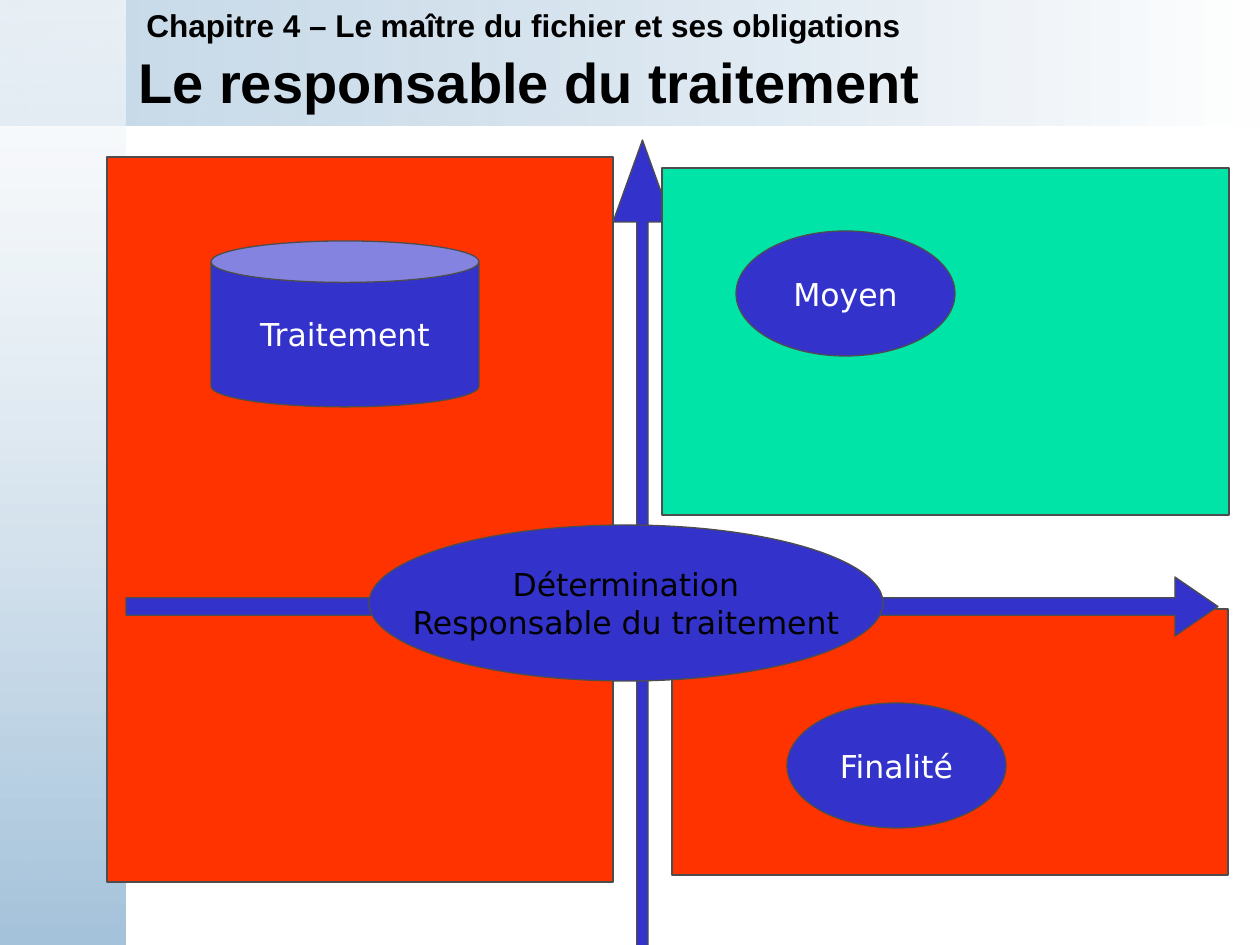
"""Build the slide on the data controller: processing, means and purpose around two axes."""
import pptx
import pptx.dml.color
import pptx.enum.shapes
import pptx.enum.text
import pptx.util
from lxml import etree

SHAPE = pptx.enum.shapes.MSO_SHAPE
MIDDLE = pptx.enum.text.MSO_ANCHOR.MIDDLE
CENTER = pptx.enum.text.PP_ALIGN.CENTER
EMU_PER_PX = 914400 / 126
BLUE, RED, GREEN, GREY = "3333CC", "FF3300", "00E4A8", "4D4D4D"
PALE, WHITE, BLACK = "A5C3DB", "FFFFFF", "000000"


def px(*lengths):
    return [pptx.util.Emu(round(length * EMU_PER_PX)) for length in lengths]


def color(hex_string):
    return pptx.dml.color.RGBColor.from_string(hex_string)


deck = pptx.Presentation()
deck.slide_width, deck.slide_height = px(1260, 945)
slide = deck.slides.add_slide(deck.slide_layouts[6])
shapes = slide.shapes

bands = [
    ((0, 0, 1260, 126), 0, [(PALE, 62), (WHITE, 100)]),
    ((0, 0, 126, 945), 270, [(WHITE, 59), (PALE, 100)]),
]
for box, angle, stops in bands:
    band = shapes.add_shape(SHAPE.RECTANGLE, *px(*box))
    band.shadow.inherit = False
    band.line.fill.background()
    band.fill.gradient()
    band.fill.gradient_angle = angle
    for stop, (hue, opacity) in zip(band.fill.gradient_stops, stops):
        stop.color.rgb = color(hue)
    for tint, (hue, opacity) in zip(band.fill._xPr.iter(pptx.oxml.ns.qn("a:srgbClr")), stops):
        etree.SubElement(tint, pptx.oxml.ns.qn("a:alpha"), val=str(opacity * 1000))

headings = [
    ((126, 45, 1134, 72), "Le responsable du traitement", 32),
    ((134, 0, 1126, 50), "Chapitre 4 – Le maître du fichier et ses obligations", 18),
]
for box, wording, size in headings:
    frame = shapes.add_textbox(*px(*box)).text_frame
    frame.word_wrap = True
    frame.vertical_anchor = MIDDLE
    heading = frame.paragraphs[0]
    heading.text = wording
    heading.font.name = "Arial"
    heading.font.size = pptx.util.Pt(size)
    heading.font.bold = True
    heading.font.color.rgb = color(BLACK)

diagram = [
    (SHAPE.UP_ARROW, (613, 140, 59, 814), (0.19, 1.39), BLUE, [], WHITE),
    (SHAPE.RECTANGLE, (672, 609, 556, 266), (), RED, [], WHITE),
    (SHAPE.RECTANGLE, (107, 157, 506, 725), (), RED, [], WHITE),
    (SHAPE.RECTANGLE, (662, 168, 567, 347), (), GREEN, [], WHITE),
    (SHAPE.RIGHT_ARROW, (126, 577, 1092, 59), (0.3, 0.73), BLUE, [], WHITE),
    (SHAPE.OVAL, (787, 703, 219, 125), (), BLUE, ["Finalité"], WHITE),
    (SHAPE.OVAL, (736, 231, 219, 125), (), BLUE, ["Moyen"], WHITE),
    (SHAPE.OVAL, (369, 525, 514, 156), (), BLUE,
     ["Détermination", "Responsable du traitement"], BLACK),
    (SHAPE.CAN, (211, 241, 268, 166), (0.25,), BLUE, ["Traitement"], WHITE),
]
for kind, box, adjustments, fill, lines, ink in diagram:
    part = shapes.add_shape(kind, *px(*box))
    part.shadow.inherit = False
    for index, value in enumerate(adjustments):
        part.adjustments[index] = value
    part.fill.solid()
    part.fill.fore_color.rgb = color(fill)
    part.line.color.rgb = color(GREY)
    part.line.width = pptx.util.Pt(0.75)
    if lines:
        label = part.text_frame
        label.text = "\n".join(lines)
        label.word_wrap = False
        label.vertical_anchor = MIDDLE
        for paragraph in label.paragraphs:
            paragraph.alignment = CENTER
            paragraph.font.name = "DejaVu Sans"
            paragraph.font.size = pptx.util.Pt(18)
            paragraph.font.color.rgb = color(ink)

deck.save("out.pptx")
